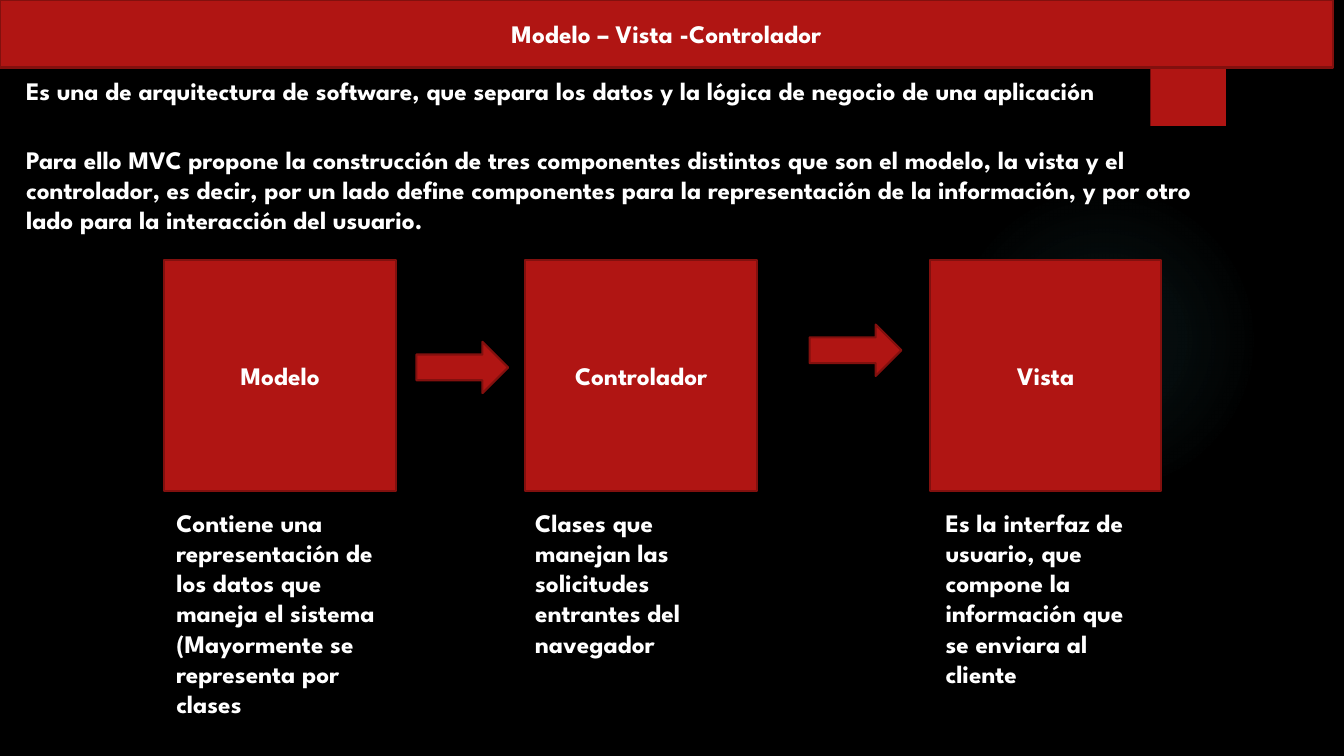
"""Build the Model-View-Controller slide."""
from dataclasses import dataclass

from pptx import Presentation
from pptx import util as u
from pptx.dml.color import RGBColor
from pptx.enum import shapes, text
from pptx.oxml import parse_xml
from pptx.oxml.ns import nsdecls

TITLE = "Modelo – Vista -Controlador"
INTRO = [
    ("Es una de arquitectura de software, que separa los datos y la lógica de negocio "
     "de una aplicación", (0.16, 0.7, 12.08, 0.71)),
    ("Para ello MVC propone la construcción de tres componentes distintos que son el modelo, "
     "la vista y el controlador, es decir, por un lado define componentes para la "
     "representación de la información, y por otro lado para la interacción del usuario.",
     (0.16, 1.38, 12.08, 1.01)),
]
COMPONENTS = [
    ("Modelo", 1.63, "Contiene una representación de los datos que maneja el sistema "
     "(Mayormente se representa por clases", (1.65, 4.98, 2.28, 2.52)),
    ("Controlador", 5.21, "Clases que manejan las solicitudes entrantes del navegador",
     (5.21, 4.98, 2.28, 1.62)),
    ("Vista", 9.22, "Es la interfaz de usuario, que compone la información que se enviara "
     "al cliente", (9.28, 4.98, 2.16, 1.92)),
]
ARROWS = [(4.13, 3.39), (8.03, 3.22)]
ARROW_SIZE = (0.91, 0.51)
BOX_TOP, BOX_SIZE = 2.58, (2.3, 2.29)
GLOW_STOPS = [(0, 7), (36, 6), (69, 0)]


@dataclass(frozen=True)
class Theme:
    background: RGBColor = RGBColor.from_string("000000")
    red: RGBColor = RGBColor.from_string("B01513")
    outline: RGBColor = RGBColor.from_string("82100E")
    white: RGBColor = RGBColor.from_string("FFFFFF")
    glow: str = "50B9C1"
    font: str = "League Spartan"
    size: int = 18
    line: float = 1.5


THEME = Theme()


def inches(box):
    return [u.Inches(value) for value in box]


def write(shape, content, alignment=text.PP_ALIGN.LEFT):
    frame = shape.text_frame
    frame.word_wrap = True
    frame.text = content
    paragraph = frame.paragraphs[0]
    paragraph.alignment = alignment
    font = paragraph.runs[0].font
    font.name, font.size, font.bold = THEME.font, u.Pt(THEME.size), True
    font.color.rgb = THEME.white


def add_text(slide, content, box):
    shape = slide.shapes.add_textbox(*inches(box))
    write(shape, content)
    shape.text_frame.auto_size = text.MSO_AUTO_SIZE.SHAPE_TO_FIT_TEXT


def add_red(slide, kind, box, label="", outlined=True):
    shape = slide.shapes.add_shape(kind, *inches(box))
    shape.shadow.inherit = False
    shape.fill.solid()
    shape.fill.fore_color.rgb = THEME.red
    if outlined:
        shape.line.color.rgb = THEME.outline
        shape.line.width = u.Pt(THEME.line)
    else:
        shape.line.fill.background()
    if label:
        write(shape, label, text.PP_ALIGN.CENTER)
        shape.text_frame.vertical_anchor = text.MSO_ANCHOR.MIDDLE


def add_glow(slide, box):
    shape = slide.shapes.add_shape(shapes.MSO_SHAPE.OVAL, *inches(box))
    shape.shadow.inherit = False
    shape.line.fill.background()
    stops = "".join(
        f'<a:gs pos="{position * 1000}"><a:srgbClr val="{THEME.glow}">'
        f'<a:alpha val="{alpha * 1000}"/></a:srgbClr></a:gs>'
        for position, alpha in GLOW_STOPS)
    gradient = parse_xml(
        f'<a:gradFill {nsdecls("a")}><a:gsLst>{stops}</a:gsLst><a:path path="circle">'
        '<a:fillToRect l="50000" t="50000" r="50000" b="50000"/></a:path></a:gradFill>')
    shape._element.spPr.prstGeom.addnext(gradient)


def main():
    presentation = Presentation()
    presentation.slide_width, presentation.slide_height = inches((13.33, 7.5))
    slide = presentation.slides.add_slide(presentation.slide_layouts[6])
    slide.background.fill.solid()
    slide.background.fill.fore_color.rgb = THEME.background

    rectangle = shapes.MSO_SHAPE.RECTANGLE
    add_glow(slide, (9.41, 1.83, 3.08, 3.08))
    add_red(slide, rectangle, (11.41, 0, 0.75, 1.25), outlined=False)
    add_red(slide, rectangle, (0, 0, 13.22, 0.67), TITLE)
    for content, box in INTRO:
        add_text(slide, content, box)
    for name, left, description, description_box in COMPONENTS:
        add_red(slide, rectangle, (left, BOX_TOP, *BOX_SIZE), name)
        add_text(slide, description, description_box)
    for position in ARROWS:
        add_red(slide, shapes.MSO_SHAPE.RIGHT_ARROW, (*position, *ARROW_SIZE))
    presentation.save("out.pptx")


if __name__ == "__main__":
    main()
